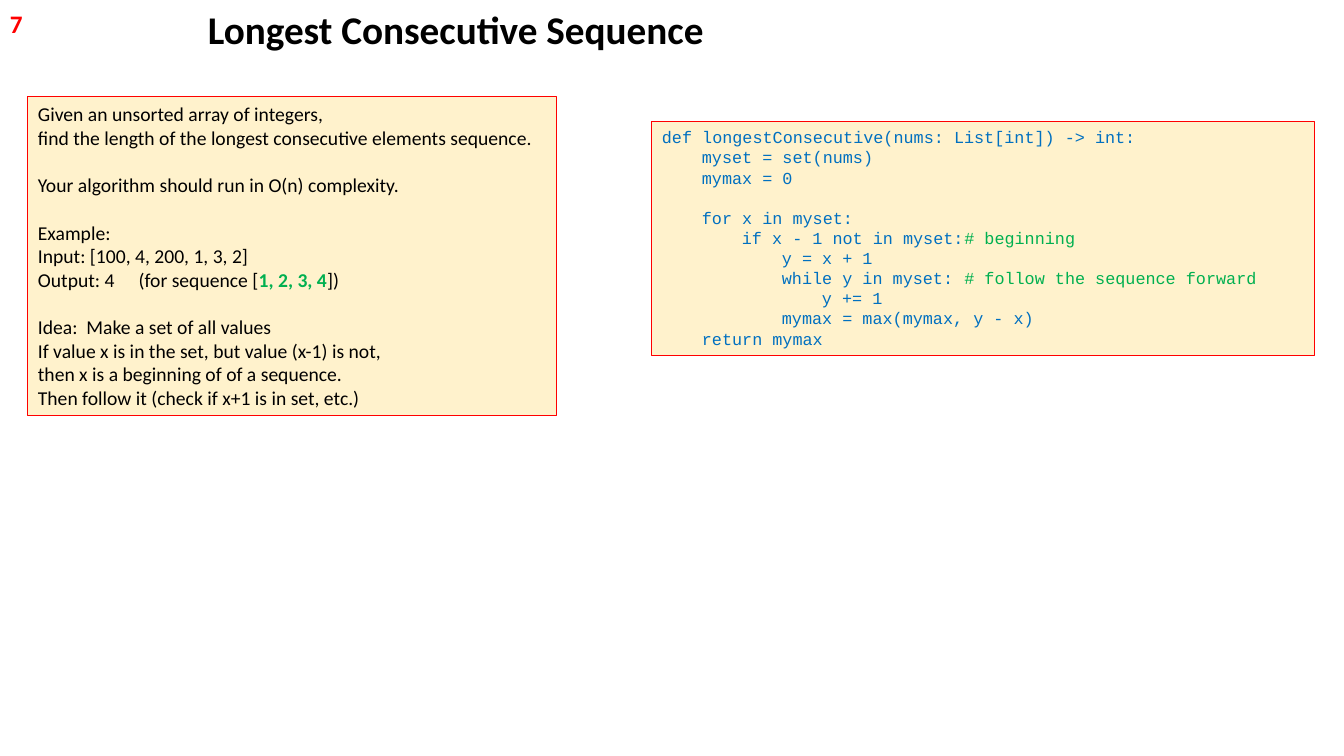
from lxml import etree
from pptx import Presentation
from pptx.dml.color import RGBColor
from pptx.enum.shapes import MSO_SHAPE
from pptx.enum.text import MSO_ANCHOR, PP_ALIGN
from pptx.oxml.ns import qn
from pptx.util import Emu, Pt

RECT = MSO_SHAPE.RECTANGLE
TOP = MSO_ANCHOR.TOP
LEFT = PP_ALIGN.LEFT

SCALE = 914400 / 100.8
STEP = 40  # one level of code indent, four characters

COLORS = {
    "black": "000000",
    "red": "FF0000",
    "cream": "FFF2CC",
    "blue": "0070C0",
    "green": "00B050",
}

# Each block is a list of lines; each line is (level, parts).
# Every second part of a line is highlighted.
TASK = [
    [
        (0, ["Given an unsorted array of integers,"]),
        (0, ["find the length of the longest consecutive elements sequence."]),
    ],
    [(0, ["Your algorithm should run in O(n) complexity."])],
    [
        (0, ["Example:"]),
        (0, ["Input: [100, 4, 200, 1, 3, 2]"]),
        (0, ["Output: 4\t(for sequence [", "1, 2, 3, 4", "])"]),
    ],
    [
        (0, ["Idea:  Make a set of all values"]),
        (0, ["If value x is in the set, but value (x-1) is not,"]),
        (0, ["then x is a beginning of of a sequence."]),
        (0, ["Then follow it (check if x+1 is in set, etc.)"]),
    ],
]
CODE = [
    [
        (0, ["def longestConsecutive(nums: List[int]) -> int:"]),
        (1, ["myset = set(nums)"]),
        (1, ["mymax = 0"]),
    ],
    [
        (1, ["for x in myset:"]),
        (2, ["if x - 1 not in myset:\t", "# beginning"]),
        (3, ["y = x + 1"]),
        (3, ["while y in myset:\t", "# follow the sequence forward"]),
        (4, ["y += 1"]),
        (3, ["mymax = max(mymax, y - x)"]),
        (1, ["return mymax"]),
    ],
]


def px(n):
    return Emu(round(n * SCALE))


def color(name):
    return RGBColor.from_string(COLORS[name])


def style(run, font, size, tint, bold=False):
    run.font.name = font
    run.font.size = Pt(size)
    run.font.color.rgb = color(tint)
    run.font.bold = bold


def add_label(slide, box, text, size, tint, wrap=True):
    label = slide.shapes.add_textbox(*map(px, box))
    frame = label.text_frame
    frame.word_wrap = wrap
    frame.text = text
    style(frame.paragraphs[0].runs[0], "Calibri", size, tint, True)


def set_tab(para, stop, indent):
    """Indent the first line and give the paragraph one left tab stop."""
    props = para._p.get_or_add_pPr()
    props.set("marL", "0")
    props.set("indent", str(px(indent)))
    tabs = etree.SubElement(props, qn("a:tabLst"))
    etree.SubElement(tabs, qn("a:tab"), pos=str(px(stop)), algn="l")


def add_panel(slide, box, blocks, font, size, tint, gap, stop, bold=False):
    """Draw a framed panel; gap parts its blocks, bold marks highlights."""
    panel = slide.shapes.add_shape(RECT, *map(px, box))
    panel.shadow.inherit = False
    panel.fill.solid()
    panel.fill.fore_color.rgb = color("cream")
    panel.line.color.rgb = color("red")
    panel.line.width = Pt(0.75)
    frame = panel.text_frame
    frame.word_wrap = True
    frame.vertical_anchor = TOP
    para = frame.paragraphs[0]
    for b, block in enumerate(blocks):
        for i, (level, parts) in enumerate(block):
            if b or i:
                para = frame.add_paragraph()
            para.alignment = LEFT
            if b and i == 0:
                para.space_before = px(gap)
            set_tab(para, stop, level * STEP)
            for n, part in enumerate(parts):
                run = para.add_run()
                run.text = part
                mark = n % 2 == 1
                style(run, font, size, "green" if mark else tint, mark and bold)


def main():
    deck = Presentation()
    deck.slide_width, deck.slide_height = px(1344), px(756)
    slide = deck.slides.add_slide(deck.slide_layouts[6])
    add_label(slide, (198, 0, 557, 57), "Longest Consecutive Sequence", 28, "black")
    add_panel(slide, (28, 97, 529, 319), TASK, "Calibri", 14, "black", 24, 99, True)
    add_panel(slide, (652, 122, 663, 234), CODE, "Courier New", 12, "blue", 20, 323)
    add_label(slide, (0, 3, 33, 40), "7", 18, "red", wrap=False)
    deck.save("out.pptx")


if __name__ == "__main__":
    main()
